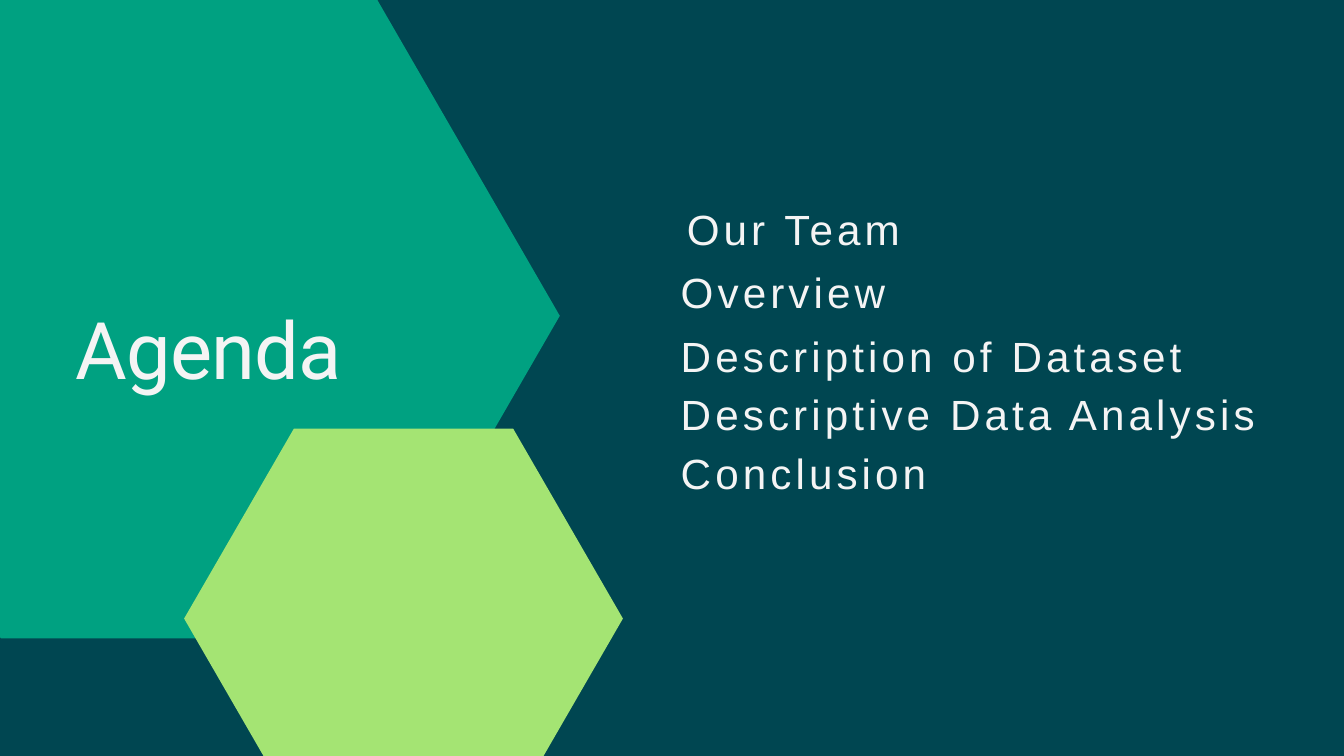
from pptx import Presentation
from pptx.dml.color import RGBColor
from pptx.enum.text import MSO_AUTO_SIZE as AutoSize
from pptx.util import Inches, Pt

DARK_TEAL = "004651"
GREEN = "00A181"
LIME = "A4E473"
OFF_WHITE = "F4F4F4"

# Agenda item, left, top
AGENDA = [
    ("Our Team", 10.22, 2.37),
    ("Overview", 10.13, 3.31),
    ("Description of Dataset", 10.13, 4.25),
    ("Descriptive Data Analysis", 10.13, 5.12),
    ("Conclusion", 10.13, 5.99),
]


def paint(fill, color):
    fill.solid()
    fill.fore_color.rgb = RGBColor.from_string(color)


def add_hexagon(slide, left, top, width, height, color):
    """Flat-topped hexagon whose corners lie on quarters of its width."""
    corners = [(1, 0.5), (0.75, 1), (0.25, 1), (0, 0.5), (0.25, 0), (0.75, 0)]
    points = [(Inches(left + width * x), Inches(top + height * y))
              for x, y in corners]
    builder = slide.shapes.build_freeform(*points[0])
    builder.add_line_segments(points[1:], close=True)
    hexagon = builder.convert_to_shape()
    paint(hexagon.fill, color)
    hexagon.line.fill.background()
    hexagon.shadow.inherit = False


def add_text(slide, text, left, top, width, height, *, font, size,
             line_height, tracking, color=OFF_WHITE):
    box = slide.shapes.add_textbox(
        Inches(left), Inches(top), Inches(width), Inches(height))
    frame = box.text_frame
    frame.word_wrap = True
    frame.auto_size = AutoSize.SHAPE_TO_FIT_TEXT
    frame.margin_left = frame.margin_right = 0
    frame.margin_top = frame.margin_bottom = 0
    paragraph = frame.paragraphs[0]
    paragraph.line_spacing = Pt(line_height)
    run = paragraph.add_run()
    run.text = text
    run.font.name = font
    run.font.size = Pt(size)
    paint(run.font.fill, color)
    # Letter spacing is stored in hundredths of a point
    run.font._element.set("spc", str(round(tracking * 100)))


def main():
    deck = Presentation()
    deck.slide_width, deck.slide_height = Inches(20), Inches(11.25)
    slide = deck.slides.add_slide(deck.slide_layouts[6])
    paint(slide.background.fill, DARK_TEAL)

    # Overlapping hexagons
    add_hexagon(slide, -2.76, -0.1, 11.09, 9.6, GREEN)
    add_hexagon(slide, 2.74, 6.38, 6.53, 5.65, LIME)

    # Title
    add_text(slide, "Agenda", 1.12, 4.46, 4.88, 1.41, font="Roboto",
             size=85, line_height=102, tracking=-0.8)

    # Agenda items
    for item, left, top in AGENDA:
        add_text(slide, item, left, top, 10.15, 1.24, font="Arial",
                 size=45.2, line_height=101.8, tracking=4.4)

    deck.save("out.pptx")


if __name__ == "__main__":
    main()
